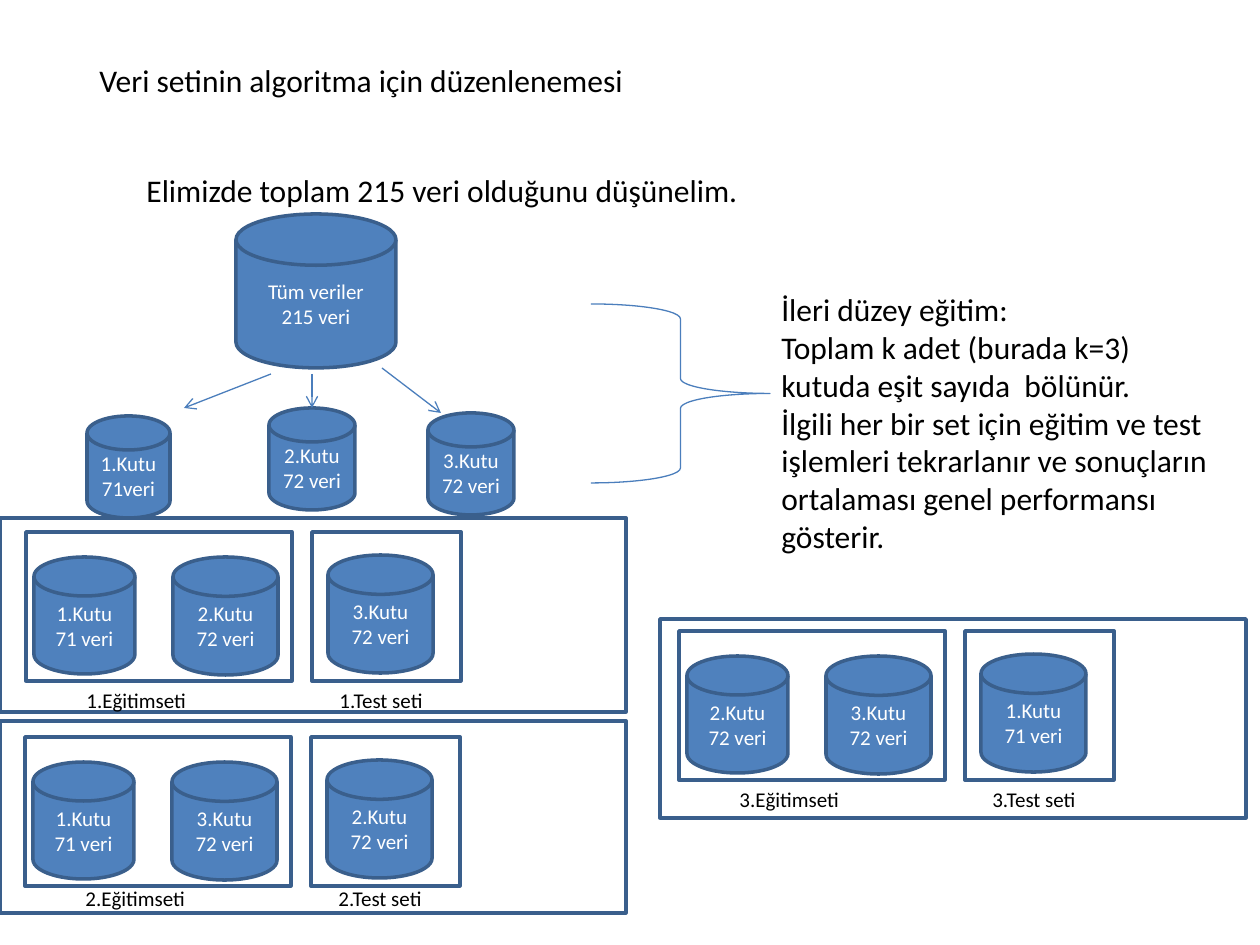
"""Build the slide that shows how a data set is split for k-fold training."""
from dataclasses import dataclass

from lxml import etree
from pptx import Presentation
from pptx import util as u
from pptx.dml.color import RGBColor
from pptx.enum import shapes, text
from pptx.oxml.ns import qn


@dataclass(frozen=True)
class Theme:
    font: str = "Calibri"
    ink: str = "000000"
    paper: str = "FFFFFF"
    fill: str = "4F81BD"
    edge: str = "3A5F8C"
    line: str = "4B7EBC"
    body: int = 18
    label: int = 12
    thick: float = 2
    thin: float = 0.75


THEME = Theme()
PX = 914400 // 126
SHAPE = shapes.MSO_SHAPE

NOTES = [
    ((134, 165, 853, 50), ["Elimizde toplam 215 veri olduğunu düşünelim."]),
    ((87, 55, 1080, 50), ["Veri setinin algoritma için düzenlenemesi"]),
    ((769, 284, 456, 318), [
        "İleri düzey eğitim:",
        "Toplam k adet (burada k=3) kutuda eşit sayıda  bölünür.",
        "İlgili her bir set için eğitim ve test işlemleri tekrarlanır ve "
        "sonuçların ortalaması genel performansı gösterir.",
    ]),
]
SPLIT_DISKS = [
    ((236, 214, 160, 154), ["Tüm veriler", "215 veri"]),
    ((269, 408, 86, 102), ["2.Kutu", "72 veri"]),
    ((87, 416, 83, 102), ["1.Kutu", "71veri"]),
    ((428, 413, 86, 102), ["3.Kutu", "72 veri"]),
]
ARROWS = [(271, 374, 184, 408), (312, 374, 312, 408), (382, 368, 441, 413)]
BRACE = (591, 304, 179, 179)

BOX_SIZES = {1: "71 veri", 2: "72 veri", 3: "72 veri"}
FOLDS = [
    {"origin": (26, 532), "order": (1, 2, 3), "label_top": 149, "frame": (0, 518, 626, 194)},
    {"origin": (25, 737), "order": (1, 3, 2), "label_top": 142, "frame": (0, 721, 626, 192)},
    {"origin": (679, 631), "order": (2, 3, 1), "label_top": 149, "frame": (660, 619, 586, 199)},
]
FOLD_DISKS = [(8, 25, 101, 117), (147, 25, 105, 118), (302, 23, 105, 118)]
FOLD_SETS = [("Eğitimseti", 0, 266, 48), ("Test seti", 286, 149, 301)]


def emu(values):
    return [value * PX for value in values]


def color(value):
    return RGBColor.from_string(value)


def write(frame, lines, size, ink, align):
    frame.word_wrap = True
    for index, line in enumerate(lines):
        para = frame.paragraphs[0] if index == 0 else frame.add_paragraph()
        para.alignment = align
        span = para.add_run()
        span.text = line
        span.font.name = THEME.font
        span.font.size = u.Pt(size)
        span.font.color.rgb = color(ink)


def add_text(page, place, lines, size):
    box = page.shapes.add_textbox(*emu(place))
    write(box.text_frame, lines, size, THEME.ink, text.PP_ALIGN.LEFT)
    box.text_frame.auto_size = text.MSO_AUTO_SIZE.SHAPE_TO_FIT_TEXT


def add_outline(page, kind, place, edge=THEME.edge, width=THEME.thick):
    shape = page.shapes.add_shape(kind, *emu(place))
    shape.shadow.inherit = False
    shape.fill.background()
    shape.line.color.rgb = color(edge)
    shape.line.width = u.Pt(width)
    return shape


def add_disk(page, place, lines):
    disk = add_outline(page, SHAPE.FLOWCHART_MAGNETIC_DISK, place)
    disk.fill.solid()
    disk.fill.fore_color.rgb = color(THEME.fill)
    frame = disk.text_frame
    frame.vertical_anchor = text.MSO_ANCHOR.MIDDLE
    frame.margin_left = frame.margin_right = 4 * PX
    write(frame, lines, THEME.label, THEME.paper, text.PP_ALIGN.CENTER)


def add_arrow(page, ends):
    arrow = page.shapes.add_connector(shapes.MSO_CONNECTOR.STRAIGHT, *emu(ends))
    arrow.line.color.rgb = color(THEME.line)
    arrow.line.width = u.Pt(THEME.thin)
    etree.SubElement(arrow.line._get_or_add_ln(), qn("a:tailEnd"), type="arrow")
    etree.SubElement(arrow._element.spPr, qn("a:effectLst"))


def add_fold(page, number, fold):
    left, top = fold["origin"]
    add_outline(page, SHAPE.RECTANGLE, fold["frame"])
    for name, offset, width, label_offset in FOLD_SETS:
        add_outline(page, SHAPE.RECTANGLE, (left + offset, top, width, 149))
        label_place = (left + label_offset, top + fold["label_top"], 169, 38)
        add_text(page, label_place, [f"{number}.{name}"], THEME.label)
    for box, (x, y, width, height) in zip(fold["order"], FOLD_DISKS):
        add_disk(page, (left + x, top + y, width, height), [f"{box}.Kutu", BOX_SIZES[box]])


def main():
    deck = Presentation()
    deck.slide_width, deck.slide_height = u.Inches(10), u.Inches(7.5)
    page = deck.slides.add_slide(deck.slide_layouts[6])
    for place, lines in NOTES:
        add_text(page, place, lines, THEME.body)
    for place, lines in SPLIT_DISKS:
        add_disk(page, place, lines)
    for ends in ARROWS:
        add_arrow(page, ends)
    add_outline(page, SHAPE.RIGHT_BRACE, BRACE, THEME.line, THEME.thin)
    for number, fold in enumerate(FOLDS, start=1):
        add_fold(page, number, fold)
    deck.save("out.pptx")


if __name__ == "__main__":
    main()
